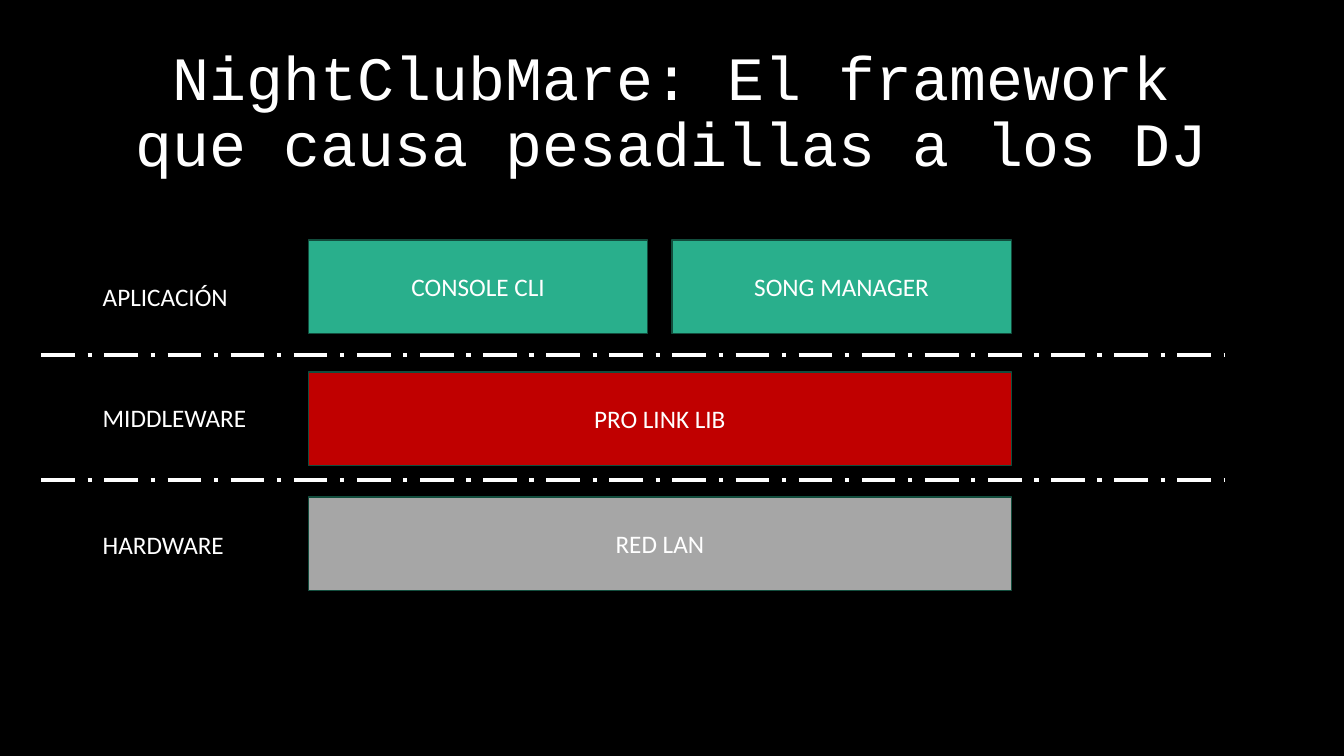
import pptx
import pptx.util
import pptx.dml.color
import pptx.enum.dml
import pptx.enum.shapes
import pptx.enum.text
import pptx.oxml.ns
import lxml.etree

Inches = pptx.util.Inches
Pt = pptx.util.Pt
RGBColor = pptx.dml.color.RGBColor
PP_ALIGN = pptx.enum.text.PP_ALIGN
MSO_ANCHOR = pptx.enum.text.MSO_ANCHOR

BLACK = RGBColor(0x00, 0x00, 0x00)
WHITE = RGBColor(0xFF, 0xFF, 0xFF)
GREEN = RGBColor(0x29, 0xAF, 0x8C)
DARK_GREEN = RGBColor(0x12, 0x4D, 0x3D)
RED = RGBColor(0xC0, 0x00, 0x00)
GRAY = RGBColor(0xA6, 0xA6, 0xA6)

TITLE = "NightClubMare: El framework que causa pesadillas a los DJ"
LAYERS = [
    {"label": "APLICACIÓN", "label_top": 2.74, "label_width": 1.45,
     "top": 2.38, "fill": GREEN, "blocks": ["CONSOLE CLI", "SONG MANAGER"]},
    {"label": "MIDDLEWARE", "label_top": 3.94, "label_width": 1.64,
     "top": 3.69, "fill": RED, "blocks": ["PRO LINK LIB"]},
    {"label": "HARDWARE", "label_top": 5.2, "label_width": 1.41,
     "top": 4.93, "fill": GRAY, "blocks": ["RED LAN"]},
]
DIVIDERS = [3.52, 4.76]
DIVIDER_LEFT, DIVIDER_RIGHT = 0.41, 12.15
LABEL_LEFT, LABEL_HEIGHT = 0.92, 0.4
STACK_LEFT, STACK_WIDTH = 3.06, 6.97
BLOCK_HEIGHT, BLOCK_GAP = 0.93, 0.24

BODY_FONT = {"name": "Calibri", "size": Pt(18)}
TITLE_FONT = {"name": "Courier New", "size": Pt(44)}
CENTERED = {"alignment": PP_ALIGN.CENTER}


def write(sp, text, font, frame, paragraph):
    tf = sp.text_frame
    for name, value in frame.items():
        setattr(tf, name, value)
    p = tf.paragraphs[0]
    for name, value in paragraph.items():
        setattr(p, name, value)
    r = p.add_run()
    r.text = text
    for name, value in font.items():
        setattr(r.font, name, value)
    r.font.color.rgb = WHITE


def add_label(s, text, left, top, width, height, font, frame, paragraph):
    sp = s.shapes.add_textbox(Inches(left), Inches(top), Inches(width), Inches(height))
    write(sp, text, font, frame, paragraph)


def add_block(s, text, left, top, width, fill):
    sp = s.shapes.add_shape(pptx.enum.shapes.MSO_SHAPE.RECTANGLE, Inches(left),
                            Inches(top), Inches(width), Inches(BLOCK_HEIGHT))
    sp.shadow.inherit = False
    sp.fill.solid()
    sp.fill.fore_color.rgb = fill
    sp.line.color.rgb = DARK_GREEN
    sp.line.width = Pt(1)
    write(sp, text, BODY_FONT,
          {"word_wrap": True, "vertical_anchor": MSO_ANCHOR.MIDDLE}, CENTERED)


def add_divider(s, y):
    line = s.shapes.add_connector(pptx.enum.shapes.MSO_CONNECTOR.STRAIGHT,
                                  Inches(DIVIDER_LEFT), Inches(y),
                                  Inches(DIVIDER_RIGHT), Inches(y))
    line.line.color.rgb = WHITE
    line.line.width = Pt(3)
    line.line.dash_style = pptx.enum.dml.MSO_LINE.LONG_DASH_DOT
    lxml.etree.SubElement(line._element.spPr, pptx.oxml.ns.qn("a:effectLst"))


def main():
    prs = pptx.Presentation()
    prs.slide_width = Inches(13.33)
    prs.slide_height = Inches(7.5)
    s = prs.slides.add_slide(prs.slide_layouts[6])
    s.background.fill.solid()
    s.background.fill.fore_color.rgb = BLACK

    add_label(s, TITLE, 0.92, 0.4, 11.5, 1.45, TITLE_FONT,
              {"word_wrap": True, "vertical_anchor": MSO_ANCHOR.MIDDLE},
              {**CENTERED, "line_spacing": 0.9})
    for layer in LAYERS:
        count = len(layer["blocks"])
        width = (STACK_WIDTH - BLOCK_GAP * (count - 1)) / count
        for i, text in enumerate(layer["blocks"]):
            left = STACK_LEFT + i * (width + BLOCK_GAP)
            add_block(s, text, left, layer["top"], width, layer["fill"])
        add_label(s, layer["label"], LABEL_LEFT, layer["label_top"],
                  layer["label_width"], LABEL_HEIGHT, BODY_FONT,
                  {"word_wrap": False,
                   "auto_size": pptx.enum.text.MSO_AUTO_SIZE.SHAPE_TO_FIT_TEXT}, {})
    for y in DIVIDERS:
        add_divider(s, y)

    prs.save("out.pptx")


if __name__ == "__main__":
    main()
